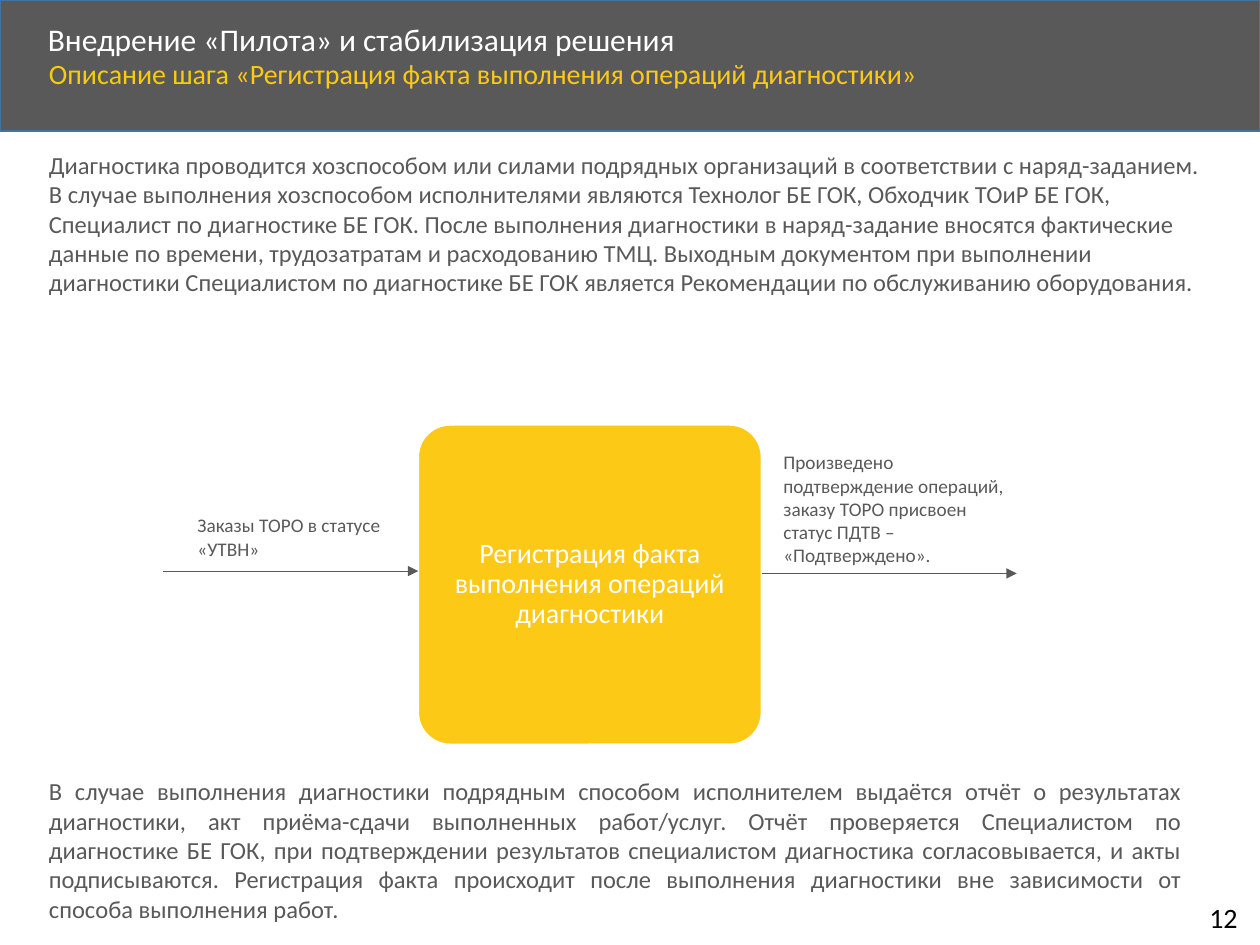
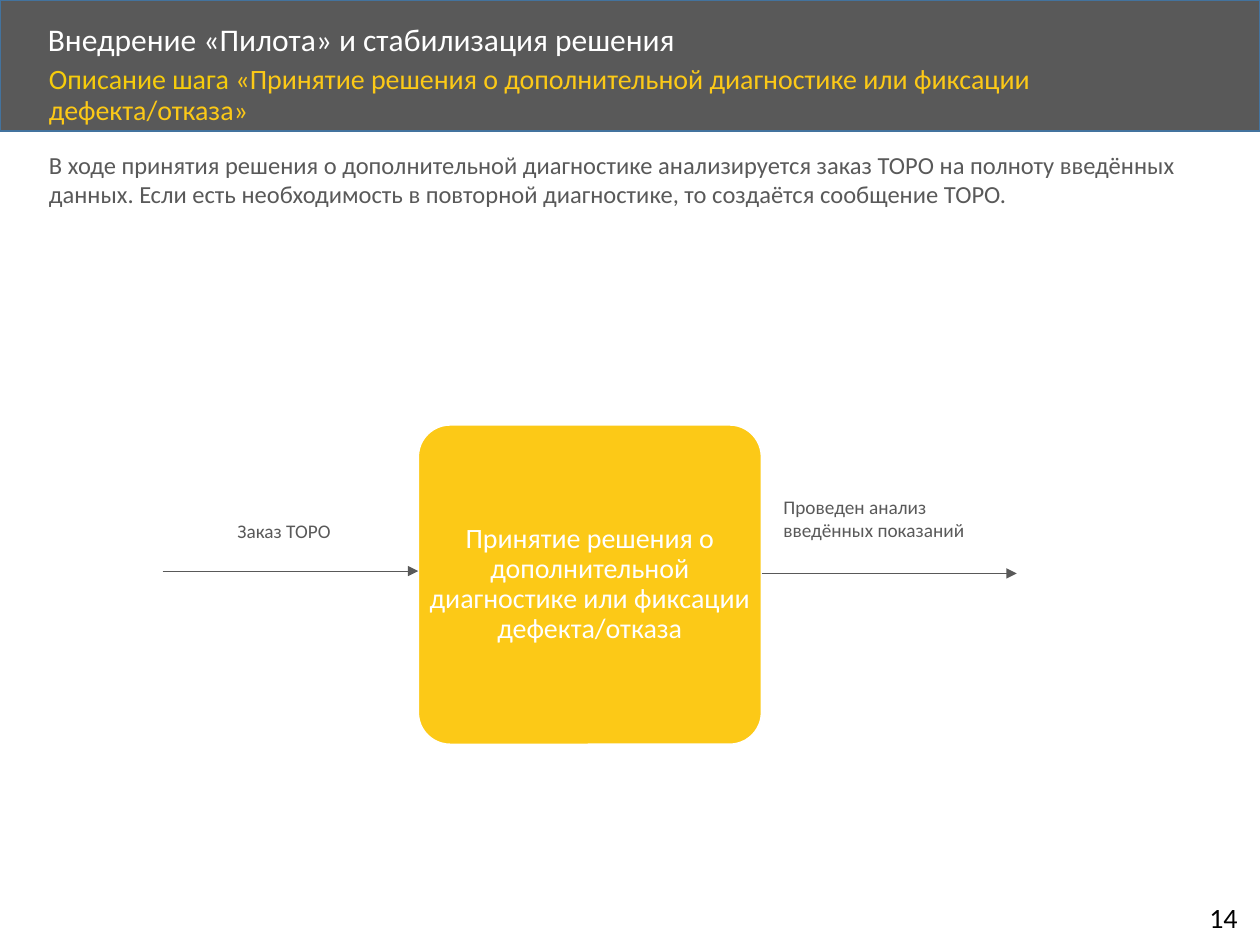
"""Build two process-step slides with a shared header, step box and arrows."""
from lxml.etree import SubElement
from pptx import Presentation
from pptx.dml.color import RGBColor
from pptx.enum.shapes import MSO_CONNECTOR, MSO_SHAPE
from pptx.enum.text import MSO_ANCHOR, PP_ALIGN
from pptx.oxml.ns import qn
from pptx.util import Pt

FONT = "Calibri"
GRAY = "595959"
YELLOW = "FCC917"
GOLD = "F6CC0C"
WHITE = "FFFFFF"
BLACK = "000000"
BAND_EDGE = "43739E"
TEXT_LEFT = 20.9
BODY_WIDTH = 681

STEPS = [
    {
        "number": "12",
        "name": "Регистрация факта выполнения операций диагностики",
        "subtitle_top": 31,
        "intro": "Диагностика проводится хозспособом или силами подрядных организаций в соответствии с "
                 "наряд-заданием. В случае выполнения хозспособом исполнителями являются Технолог БЕ ГОК, "
                 "Обходчик ТОиР БЕ ГОК, Специалист по диагностике БЕ ГОК. После выполнения диагностики в "
                 "наряд-задание вносятся фактические данные по времени, трудозатратам и расходованию ТМЦ. "
                 "Выходным документом при выполнении диагностики Специалистом по диагностике БЕ ГОК "
                 "является Рекомендации по обслуживанию оборудования.",
        "intro_height": 92,
        "input": "Заказы ТОРО в статусе «УТВН»",
        "input_box": (105.8, 290, 144, 34),
        "output": "Произведено подтверждение операций, заказу ТОРО присвоен статус ПДТВ – «Подтверждено».",
        "output_box": (440.6, 254, 144, 74),
        "closing": "В случае выполнения диагностики подрядным способом исполнителем выдаётся отчёт о "
                   "результатах диагностики, акт приёма-сдачи выполненных работ/услуг. Отчёт проверяется "
                   "Специалистом по диагностике БЕ ГОК, при подтверждении результатов специалистом "
                   "диагностика согласовывается, и акты подписываются. Регистрация факта происходит после "
                   "выполнения диагностики вне зависимости от способа выполнения работ.",
    },
    {
        "number": "14",
        "name": "Принятие решения о дополнительной диагностике или фиксации дефекта/отказа",
        "subtitle_top": 34,
        "intro": "В ходе принятия решения о дополнительной диагностике анализируется заказ ТОРО на полноту "
                 "введённых данных. Если есть необходимость в повторной диагностике, то создаётся "
                 "сообщение ТОРО.",
        "intro_height": 41,
        "input": "Заказ ТОРО",
        "input_box": (128.6, 293, 74, 21),
        "output": "Проведен анализ введённых показаний",
        "output_box": (440.6, 279.5, 144, 34),
        "closing": None,
    },
]


def color(value):
    return RGBColor.from_string(value)


def add_text(slide, box, text, size, text_color, line_spacing=1.0):
    shape = slide.shapes.add_textbox(*map(Pt, box))
    shape.text_frame.word_wrap = True
    paragraph = shape.text_frame.paragraphs[0]
    paragraph.text = text
    paragraph.line_spacing = line_spacing
    paragraph.font.size = Pt(size)
    paragraph.font.name = FONT
    for run in paragraph.runs:
        run.font.size = Pt(size)
        run.font.name = FONT
        run.font.color.rgb = color(text_color)
    return shape


presentation = Presentation()
presentation.slide_width = Pt(720)
presentation.slide_height = Pt(540)

for step in STEPS:
    slide = presentation.slides.add_slide(presentation.slide_layouts[6])

    band = slide.shapes.add_shape(MSO_SHAPE.RECTANGLE, 0, 0, Pt(720), Pt(74.9))
    band.shadow.inherit = False
    band.fill.solid()
    band.fill.fore_color.rgb = color(GRAY)
    band.line.color.rgb = color(BAND_EDGE)
    band.line.width = Pt(1)

    title = add_text(slide, (20.3, 10.1, 581, 27.4),
                     "Внедрение «Пилота» и стабилизация решения", 18, WHITE, 0.9)
    title.text_frame.vertical_anchor = MSO_ANCHOR.MIDDLE
    add_text(slide, (684, 511.2, 33.1, 26.6), step["number"], 16, BLACK)

    subtitle = add_text(slide, (TEXT_LEFT, step["subtitle_top"], 624, 32.4),
                        "Описание шага ", 16, GOLD, 0.9)
    name_run = subtitle.text_frame.paragraphs[0].add_run()
    name_run.text = f"«{step['name']}»"
    name_run.font.size = Pt(16)
    name_run.font.name = FONT
    name_run.font.color.rgb = color(YELLOW)

    step_box = slide.shapes.add_shape(
        MSO_SHAPE.ROUNDED_RECTANGLE, Pt(239), Pt(242.8), Pt(196.2), Pt(182.6))
    step_box.adjustments[0] = 0.1
    step_box.shadow.inherit = False
    step_box.fill.solid()
    step_box.fill.fore_color.rgb = color(YELLOW)
    step_box.line.color.rgb = color(WHITE)
    step_box.line.width = Pt(1)
    frame = step_box.text_frame
    frame.text = step["name"]
    frame.word_wrap = True
    frame.vertical_anchor = MSO_ANCHOR.MIDDLE
    frame.margin_left = frame.margin_right = frame.margin_top = frame.margin_bottom = 0
    paragraph = frame.paragraphs[0]
    paragraph.alignment = PP_ALIGN.CENTER
    paragraph.line_spacing = 0.9
    step_font = paragraph.runs[0].font
    step_font.size = Pt(16)
    step_font.name = FONT
    step_font.color.rgb = color(WHITE)

    for start, end, height in ((93, 239, 326.3), (435.2, 581, 327.7)):
        arrow = slide.shapes.add_connector(
            MSO_CONNECTOR.STRAIGHT, Pt(start), Pt(height), Pt(end), Pt(height))
        arrow.line.color.rgb = color(GRAY)
        arrow.line.width = Pt(0.5)
        SubElement(arrow.line._get_or_add_ln(), qn("a:tailEnd"), type="triangle")
        SubElement(arrow._element.spPr, qn("a:effectLst"))

    add_text(slide, step["input_box"], step["input"], 11, GRAY)
    add_text(slide, step["output_box"], step["output"], 11, GRAY)
    add_text(slide, (TEXT_LEFT, 82, BODY_WIDTH, step["intro_height"]), step["intro"], 14, GRAY)
    if step["closing"]:
        closing = add_text(slide, (TEXT_LEFT, 440, 661.7, 100), step["closing"], 14, GRAY)
        closing.text_frame.paragraphs[0].alignment = PP_ALIGN.JUSTIFY

presentation.save("out.pptx")
